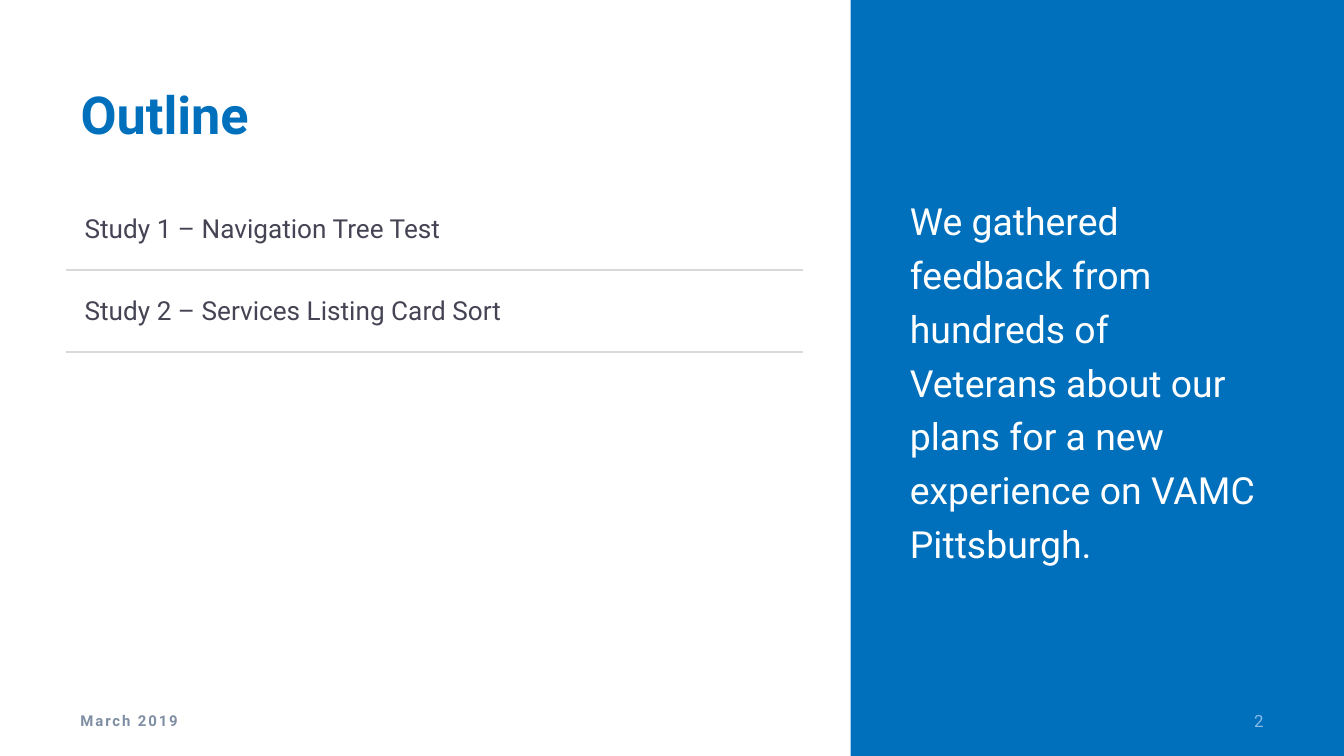
from lxml.etree import SubElement
from pptx import Presentation
from pptx.dml.color import RGBColor
from pptx.enum.shapes import MSO_SHAPE
from pptx.enum.text import MSO_ANCHOR as Anchor, MSO_AUTO_SIZE as AutoSize, PP_ALIGN as Align
from pptx.oxml.ns import qn
from pptx.util import Inches, Pt

FONT = "Roboto"
BLUE = RGBColor(0x00, 0x70, 0xBC)
WHITE = RGBColor(0xFF, 0xFF, 0xFF)
INK = RGBColor(0x45, 0x44, 0x54)
RULE = RGBColor(0xD9, 0xD9, 0xD9)
PALE_BLUE = RGBColor(0x89, 0xBD, 0xE8)
SLATE = RGBColor(0x7F, 0x8E, 0xA3)

WIDTH = 10
HEIGHT = WIDTH * 9 / 16
MARGIN = 0.5
CONTENT_WIDTH = 5.46
PANEL_LEFT = 6.33
TOP = 0.56
ROW_HEIGHT = 0.61
COLUMN_WIDTHS = (4.39, 1.08)
FOOTER_TOP, FOOTER_HEIGHT = 5.21, 0.3
STUDIES = ("Study 1 – Navigation Tree Test", "Study 2 – Services Listing Card Sort")


def box(left, top, width, height):
    return [Inches(length) for length in (left, top, width, height)]


def place(shape, left, top, width, height):
    shape.left, shape.top, shape.width, shape.height = box(left, top, width, height)


def write(text_frame, text, size, color, bold=False, anchor=Anchor.MIDDLE, align=Align.LEFT):
    """Fill a frame with one formatted paragraph and return that paragraph."""
    text_frame.text = text
    text_frame.word_wrap = True
    text_frame.vertical_anchor = anchor
    paragraph = text_frame.paragraphs[0]
    paragraph.alignment = align
    for run in paragraph.runs:
        font = run.font
        font.name, font.size, font.bold = FONT, Pt(size), bold
        font.color.rgb = color
    return paragraph


def add_panel(slide):
    panel = slide.shapes.add_shape(
        MSO_SHAPE.RECTANGLE, *box(PANEL_LEFT, 0, WIDTH - PANEL_LEFT, HEIGHT))
    panel.shadow.inherit = False
    panel.fill.solid()
    panel.fill.fore_color.rgb = BLUE
    panel.line.fill.background()
    # Send the panel behind the placeholders
    slide.shapes.title._element.addprevious(panel._element)


def fill_title(slide):
    title = slide.shapes.title
    place(title, MARGIN, TOP, CONTENT_WIDTH, 0.71)
    write(title.text_frame, "Outline", 28, BLUE, bold=True, anchor=Anchor.TOP)
    title.text_frame.auto_size = AutoSize.NONE


def fill_body(slide):
    body = slide.placeholders[1]
    place(body, 6.67, TOP, 2.83, 4.5)
    paragraph = write(
        body.text_frame,
        "We gathered feedback from hundreds of Veterans about our plans "
        "for a new experience on VAMC Pittsburgh.", 20, WHITE)
    body.text_frame.auto_size = AutoSize.NONE
    properties = paragraph._p.get_or_add_pPr()
    properties.set("marL", "0")
    properties.set("indent", "0")
    SubElement(properties, qn("a:buNone"))
    paragraph.line_spacing = 1.2
    paragraph.space_before = Pt(0)
    paragraph.space_after = Pt(6)


def set_borders(cell, **colors):
    """Draw 1 pt borders; the sides must come in the order L, R, T, B."""
    properties = cell._tc.get_or_add_tcPr()
    for side, color in colors.items():
        line = SubElement(properties, qn(f"a:ln{side}"), w=str(Pt(1)))
        fill = SubElement(line, qn("a:solidFill"))
        SubElement(fill, qn("a:srgbClr"), val=str(color))


def add_study_table(slide):
    table = slide.shapes.add_table(
        len(STUDIES), len(COLUMN_WIDTHS),
        *box(MARGIN, 1.4, CONTENT_WIDTH, ROW_HEIGHT * len(STUDIES))).table
    table.first_row = table.horz_banding = False
    for column, width in zip(table.columns, COLUMN_WIDTHS):
        column.width = Inches(width)
    for index, (row, study) in enumerate(zip(table.rows, STUDIES)):
        row.height = Inches(ROW_HEIGHT)
        for cell in row.cells:
            set_borders(cell, L=WHITE, R=WHITE, T=RULE if index else WHITE, B=RULE)
            cell.fill.background()
        label = row.cells[0]
        label.margin_left = label.margin_right = Inches(0.13)
        write(label.text_frame, study, 14, INK)
        label.vertical_anchor = Anchor.MIDDLE


def add_footer(slide, text, left, width, size, color, **style):
    text_box = slide.shapes.add_textbox(*box(left, FOOTER_TOP, width, FOOTER_HEIGHT))
    return write(text_box.text_frame, text, size, color, **style)


def main():
    presentation = Presentation()
    presentation.slide_width, presentation.slide_height = Inches(WIDTH), Inches(HEIGHT)
    slide = presentation.slides.add_slide(presentation.slide_layouts[1])
    add_panel(slide)
    fill_title(slide)
    add_study_table(slide)
    fill_body(slide)
    add_footer(slide, "2", 8.75, 0.75, 9, PALE_BLUE, align=Align.RIGHT)
    date = add_footer(slide, "March 2019", MARGIN, 2.25, 8, SLATE, bold=True)
    date.runs[0].font._element.set("spc", "100")
    presentation.save("out.pptx")


if __name__ == "__main__":
    main()
